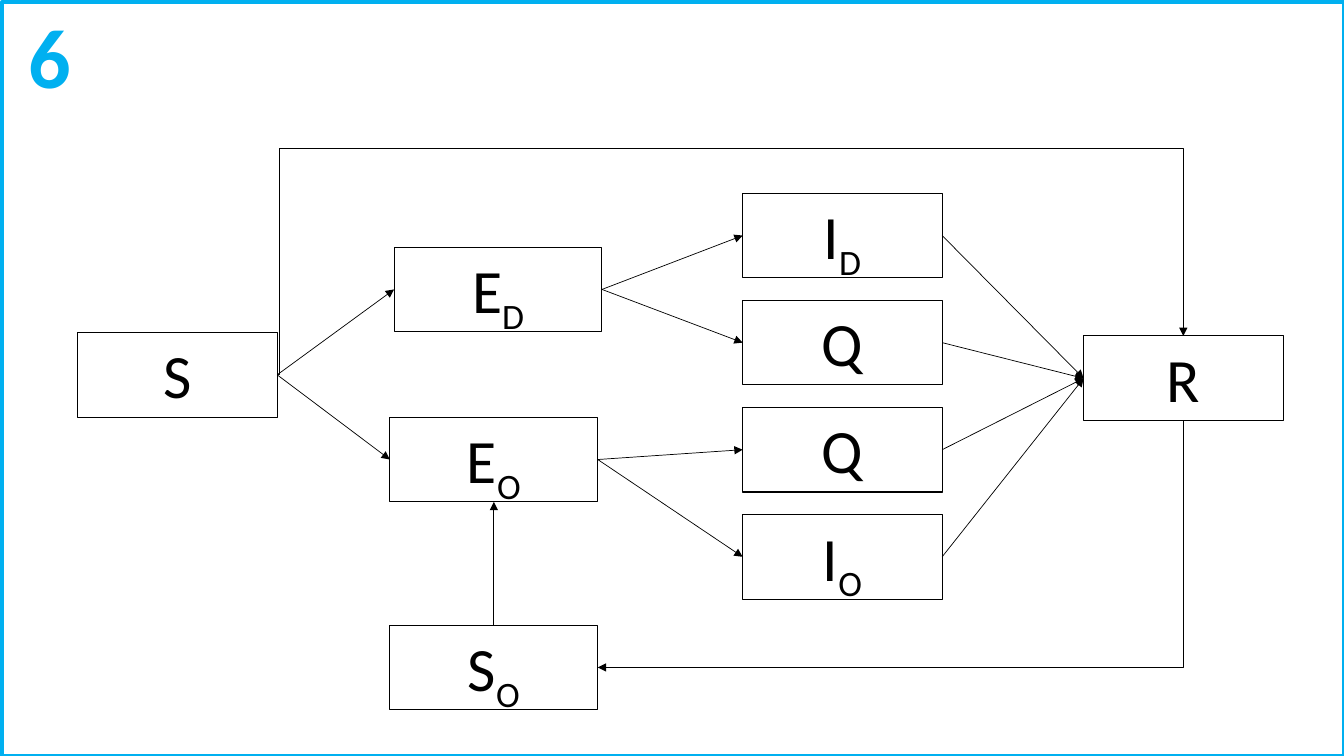
import pptx
import pptx.dml.color
import pptx.enum.shapes
import pptx.enum.text
import pptx.oxml.ns
import pptx.util
from lxml import etree

Pt = pptx.util.Pt
COLORS = {"ink": "000000", "accent": "00B0F0"}
FONT = "Calibri"
SLIDE_W, SLIDE_H = 960, 540
NUMBER = "6"
NODE_H = 60.5
NARROW, WIDE = 142.5, 148.5
RESPONSE_COLUMN, FIRST_ROW, ROW_PITCH = 530.5, 138, 76.5
BYPASS_Y, BYPASS_STEP = 106, 1.5

NODES = {
    "S": ("S", "", 55.5, 237.5, NARROW),
    "E_D": ("E", "D", 281.5, 176.5, WIDE),
    "E_O": ("E", "O", 278.5, 298, WIDE),
    "S_O": ("S", "O", 278.5, 446.5, WIDE),
    "R": ("R", "", 774, 240, NARROW),
}
STACK = [("I_D", "I", "D"), ("Q_D", "Q", ""), ("Q_O", "Q", ""), ("I_O", "I", "O")]
TOP, LEFT, BOTTOM, RIGHT = range(4)
LINKS = [
    ("S", "E_D"), ("S", "E_O"),
    ("E_D", "I_D"), ("E_D", "Q_D"), ("E_O", "Q_O"), ("E_O", "I_O"),
    ("I_D", "R"), ("Q_D", "R"), ("Q_O", "R"), ("I_O", "R"),
]


def add_run(paragraph, text, size, color, bold=False, subscript=False):
    run = paragraph.add_run()
    run.text = text
    run.font.name = FONT
    run.font.size = Pt(size)
    run.font.bold = bold
    run.font.color.rgb = pptx.dml.color.RGBColor.from_string(COLORS[color])
    if subscript:
        run._r.get_or_add_rPr().set("baseline", "-25000")


def set_line(line, color, width):
    line.color.rgb = pptx.dml.color.RGBColor.from_string(COLORS[color])
    line.width = Pt(width)


def add_rectangle(slide, left, top, width, height, color, weight):
    rectangle = slide.shapes.add_shape(
        pptx.enum.shapes.MSO_SHAPE.RECTANGLE, Pt(left), Pt(top), Pt(width), Pt(height))
    rectangle.shadow.inherit = False
    rectangle.fill.background()
    set_line(rectangle.line, color, weight)
    return rectangle


def fit_text(frame):
    frame.word_wrap = True
    frame.auto_size = pptx.enum.text.MSO_AUTO_SIZE.SHAPE_TO_FIT_TEXT
    frame.vertical_anchor = pptx.enum.text.MSO_ANCHOR.TOP
    return frame.paragraphs[0]


def add_node(slide, letter, subscript, left, top, width):
    node = add_rectangle(slide, left, top, width, NODE_H, "ink", 0.75)
    paragraph = fit_text(node.text_frame)
    paragraph.alignment = pptx.enum.text.PP_ALIGN.CENTER
    add_run(paragraph, letter, 44, "ink")
    if subscript:
        add_run(paragraph, subscript, 44, "ink", subscript=True)
    return node


def add_arrow(slide, kind, start, end):
    arrow = slide.shapes.add_connector(kind, *(Pt(value) for value in (*start, *end)))
    set_line(arrow.line, "ink", 0.5)
    qn = pptx.oxml.ns.qn
    etree.SubElement(arrow.line._get_or_add_ln(), qn("a:tailEnd"), type="triangle")
    etree.SubElement(arrow._element.spPr, qn("a:effectLst"))
    return arrow


def link(slide, source, source_side, target, target_side):
    arrow = add_arrow(slide, pptx.enum.shapes.MSO_CONNECTOR.STRAIGHT, (0, 0), (0, 0))
    arrow.begin_connect(source, source_side)
    arrow.end_connect(target, target_side)


def add_elbow(slide, start, end, preset, adjustments=(), rotation=0):
    elbow = add_arrow(slide, pptx.enum.shapes.MSO_CONNECTOR.ELBOW, start, end)
    qn = pptx.oxml.ns.qn
    geometry = elbow._element.spPr.find(qn("a:prstGeom"))
    geometry.set("prst", preset)
    guides = geometry.find(qn("a:avLst"))
    for index, ratio in enumerate(adjustments, 1):
        etree.SubElement(guides, qn("a:gd"), name=f"adj{index}",
                         fmla=f"val {round(ratio * 100000)}")
    if rotation:
        elbow._element.spPr.find(qn("a:xfrm")).set("rot", str(rotation * 60000))


def main():
    """Build the slide with the path diagram from S to R."""
    deck = pptx.Presentation()
    deck.slide_width, deck.slide_height = Pt(SLIDE_W), Pt(SLIDE_H)
    slide = deck.slides.add_slide(deck.slide_layouts[6])

    number = slide.shapes.add_textbox(Pt(13), Pt(0), Pt(26), Pt(80))
    add_run(fit_text(number.text_frame), NUMBER, 60, "accent", bold=True)

    places = dict(NODES)
    for row, (key, letter, subscript) in enumerate(STACK):
        places[key] = (letter, subscript, RESPONSE_COLUMN,
                       FIRST_ROW + row * ROW_PITCH, NARROW)
    nodes = {key: add_node(slide, *place) for key, place in places.items()}

    for source, target in LINKS:
        link(slide, nodes[source], RIGHT, nodes[target], LEFT)
    link(slide, nodes["S_O"], TOP, nodes["E_O"], BOTTOM)

    s_left, s_top, s_width = places["S"][2:]
    r_left, r_top, r_width = places["R"][2:]
    so_left, so_top, so_width = places["S_O"][2:]
    s_right, s_middle = s_left + s_width, s_top + NODE_H / 2
    r_center, r_bottom = r_left + r_width / 2, r_top + NODE_H
    so_right, so_middle = so_left + so_width, so_top + NODE_H / 2

    add_elbow(slide, (s_right, s_middle), (r_center, r_top), "bentConnector4",
              (BYPASS_STEP / (r_center - s_right),
               (s_middle - BYPASS_Y) / (s_middle - r_top)))

    across, down = r_center - so_right, so_middle - r_bottom
    center_x, center_y = (r_center + so_right) / 2, (r_bottom + so_middle) / 2
    add_elbow(slide, (center_x - down / 2, center_y - across / 2),
              (center_x + down / 2, center_y + across / 2),
              "bentConnector2", rotation=90)

    add_rectangle(slide, 1.5, 1.5, SLIDE_W - 1.5, SLIDE_H - 1.5, "accent", 3)
    deck.save("out.pptx")


if __name__ == "__main__":
    main()
